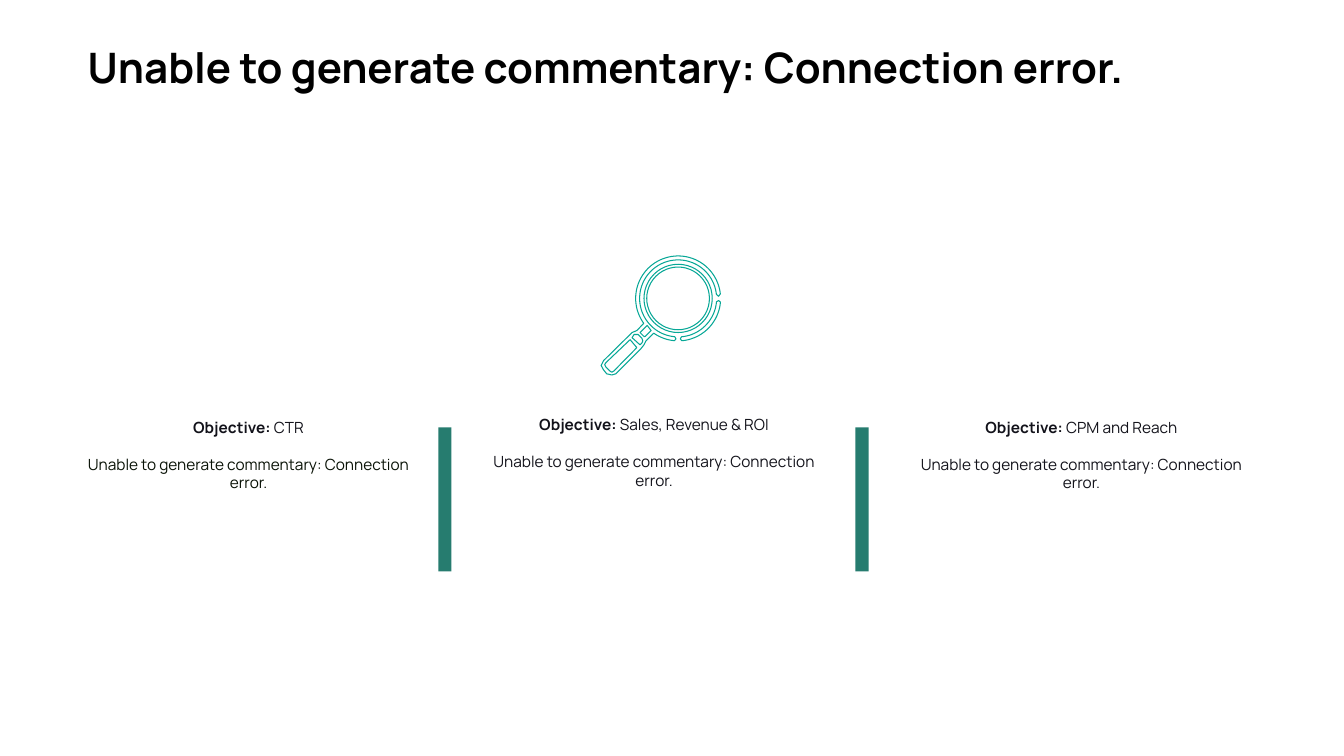
import math

import pptx
import pptx.dml.color
import pptx.enum.shapes
import pptx.enum.text
import pptx.util

Cm = pptx.util.Cm
Pt = pptx.util.Pt
RGBColor = pptx.dml.color.RGBColor
SHAPES = pptx.enum.shapes.MSO_SHAPE

FONT = "Manrope"
BLACK = RGBColor(0x00, 0x00, 0x00)
WHITE = RGBColor(0xFF, 0xFF, 0xFF)
INK = RGBColor(0x12, 0x12, 0x1A)
DARK_GREEN = RGBColor(0x08, 0x11, 0x05)
BAR_GREEN = RGBColor(0x26, 0x7C, 0x6F)
ICON_GREEN = RGBColor(0x06, 0xA7, 0x96)
MESSAGE = "Unable to generate commentary: Connection error."

# Magnifier lens, in centimetres
LENS_X, LENS_Y = 17.09, 7.52
RIM_OUTER, RIM_MIDDLE, RIM_INNER = 1.07, 1.02, 0.97
GLASS_OUTER, GLASS_INNER = 0.86, 0.79


def arc(radius, start, end):
    """Points around the lens; degrees run clockwise from the right."""
    steps = max(1, round(abs(end - start) / 4))
    angles = [math.radians(start + (end - start) * i / steps) for i in range(steps + 1)]
    return [(LENS_X + radius * math.cos(a), LENS_Y + radius * math.sin(a)) for a in angles]


def style_span(span, size, color, bold=False):
    span.font.name = FONT
    span.font.size = Pt(size)
    span.font.bold = bold
    span.font.color.rgb = color


deck = pptx.Presentation()
deck.slide_width, deck.slide_height = Cm(33.87), Cm(19.05)
page = deck.slides.add_slide(deck.slide_layouts[6])

# Title
title = page.shapes.add_textbox(Cm(2.21), Cm(1.19), Cm(30.2), Cm(1.14))
frame = title.text_frame
frame.word_wrap = True
frame.margin_left = frame.margin_top = frame.margin_right = frame.margin_bottom = 0
frame.text = MESSAGE
frame.paragraphs[0].line_spacing = 0.9
style_span(frame.paragraphs[0].runs[0], 30, BLACK, True)

# Divider bars
for left in (11.05, 21.56):
    bar = page.shapes.add_shape(SHAPES.RECTANGLE, Cm(left), Cm(10.77), Cm(0.33), Cm(3.63))
    bar.shadow.inherit = False
    bar.fill.solid()
    bar.fill.fore_color.rgb = BAR_GREEN
    bar.line.fill.background()

# Objective columns: left, top, width, height, objective, message colour
columns = [
    (2.01, 10.36, 8.51, 6.86, "CTR", DARK_GREEN),
    (12.09, 10.29, 8.79, 10.69, "Sales, Revenue & ROI", INK),
    (22.58, 10.36, 9.35, 6.86, "CPM and Reach", INK),
]
for left, top, width, height, objective, color in columns:
    box = page.shapes.add_textbox(Cm(left), Cm(top), Cm(width), Cm(height))
    frame = box.text_frame
    frame.word_wrap = True
    frame.margin_left = frame.margin_top = frame.margin_right = frame.margin_bottom = Cm(0.18)
    frame.text = "Objective: "
    heading = frame.paragraphs[0]
    style_span(heading.runs[0], 11, INK, True)
    span = heading.add_run()
    span.text = objective
    style_span(span, 11, INK)
    message = frame.add_paragraph()
    message.text = MESSAGE
    message.space_before = Pt(13)
    style_span(message.runs[0], 11, color)
    for para in frame.paragraphs:
        para.alignment = pptx.enum.text.PP_ALIGN.CENTER

# Magnifier outlines: rim with handle, then the short rim piece
handle = [
    (16.05, 8.33), (15.93, 8.38), (15.21, 9.09), (15.15, 9.21), (15.21, 9.32), (15.29, 9.42),
    (15.42, 9.45), (15.52, 9.42), (16.15, 8.79), (16.23, 8.69), (16.28, 8.59),
]
collar = [(16.31, 8.2), (16.41, 8.33), (16.26, 8.48), (16.23, 8.48), (16.13, 8.38)]
band = [
    (16.03, 8.43), (16.08, 8.43), (16.18, 8.53), (16.2, 8.59),
    (16.18, 8.64), (16.13, 8.69), (15.93, 8.51), (15.98, 8.43),
]
grip = [
    (15.88, 8.56), (16.05, 8.76), (15.47, 9.35), (15.42, 9.38),
    (15.37, 9.35), (15.27, 9.25), (15.24, 9.19), (15.27, 9.14),
]
rim = (
    arc(RIM_OUTER, 354, 144) + handle + arc(RIM_OUTER, 125, 95)
    + arc(RIM_MIDDLE, 93, 93) + arc(RIM_INNER, 95, 354) + arc(RIM_MIDDLE, 357, 357)
)
short_rim = (
    arc(RIM_OUTER, 5, 85) + arc(RIM_MIDDLE, 87, 87)
    + arc(RIM_INNER, 85, 5) + arc(RIM_MIDDLE, 3, 3)
)
icon_parts = []
for contours in ([rim, collar, band, grip], [short_rim]):
    builder = None
    for contour in contours:
        points = [(x * 1000, y * 1000) for x, y in contour]
        if builder is None:
            builder = page.shapes.build_freeform(*points[0], scale=Cm(0.001))
        else:
            builder.move_to(*points[0])
        builder.add_line_segments(points[1:], close=True)
    icon_parts.append(builder.convert_to_shape())

# Glass ring
glass = page.shapes.add_shape(
    SHAPES.DONUT, Cm(LENS_X - GLASS_OUTER), Cm(LENS_Y - GLASS_OUTER),
    Cm(2 * GLASS_OUTER), Cm(2 * GLASS_OUTER),
)
glass.adjustments[0] = (GLASS_OUTER - GLASS_INNER) / (2 * GLASS_OUTER)
icon_parts.append(glass)

for part in icon_parts:
    part.shadow.inherit = False
    part.fill.solid()
    part.fill.fore_color.rgb = WHITE
    part.line.color.rgb = ICON_GREEN
    part.line.width = Pt(0.75)

deck.save("out.pptx")
